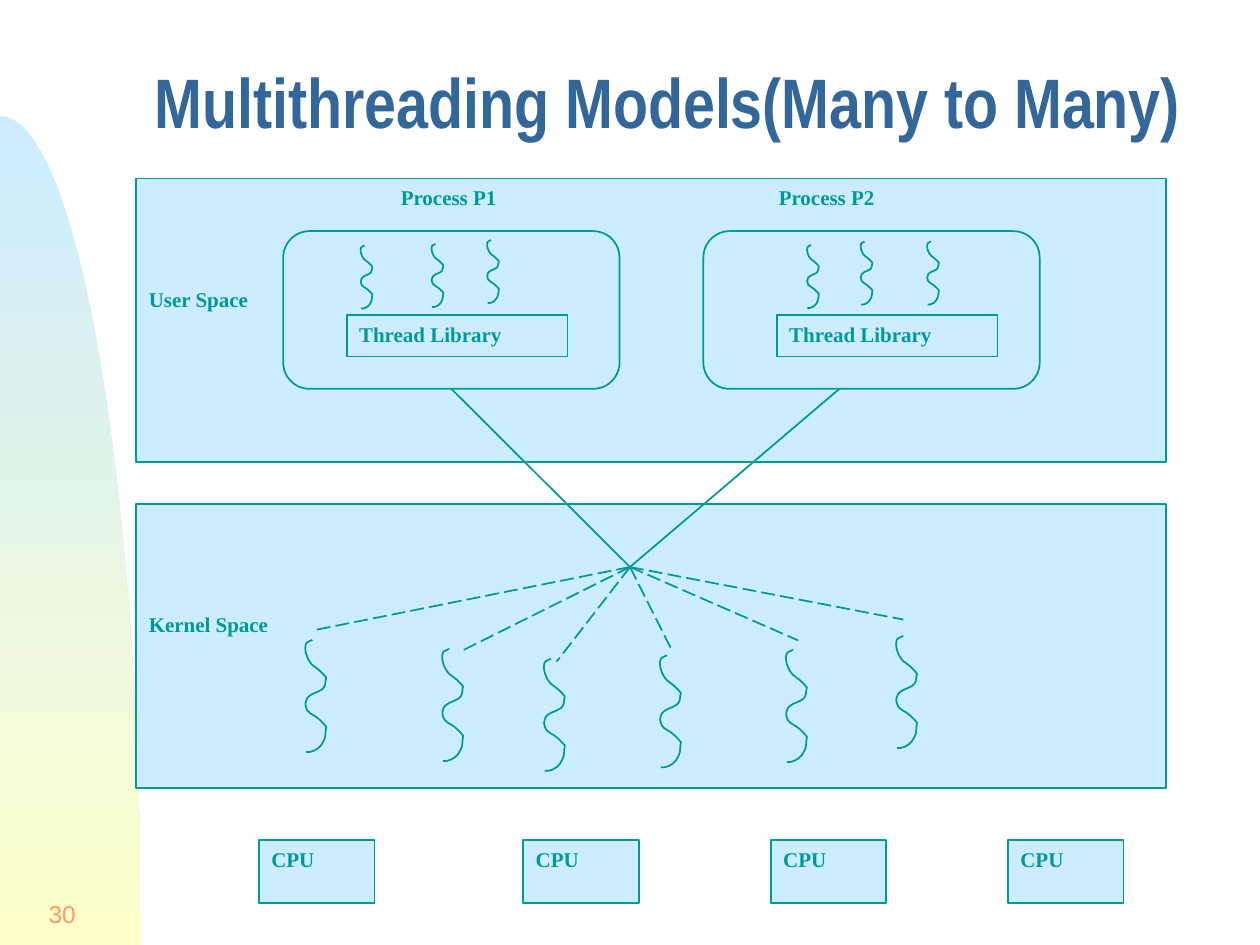
"""Build the slide on the many-to-many multithreading model."""
import itertools

import lxml.etree
import pptx
import pptx.dml.color
import pptx.enum.dml
import pptx.enum.shapes
import pptx.enum.text
import pptx.oxml.ns
import pptx.util

Cm = pptx.util.Cm
Pt = pptx.util.Pt
RGBColor = pptx.dml.color.RGBColor
Shape = pptx.enum.shapes.MSO_SHAPE
Align = pptx.enum.text.PP_ALIGN
Anchor = pptx.enum.text.MSO_ANCHOR
qn = pptx.oxml.ns.qn

TEAL = RGBColor(0x00, 0x99, 0x99)
SKY = RGBColor(0xCC, 0xEC, 0xFF)
CREAM = RGBColor(0xFF, 0xFF, 0xCC)
NAVY = RGBColor(0x33, 0x66, 0x99)
ORANGE = RGBColor(0xFF, 0x99, 0x66)

THREAD_HEIGHT = 89
THREAD_START = (7, 0)
THREAD_CURVES = [
    ((5, 1), (2, 2), (2, 3)),
    ((0, 8), (3, 16), (7, 20)),
    ((8, 21), (10, 22), (11, 23)),
    ((14, 25), (18, 30), (18, 30)),
    ((17, 32), (18, 35), (16, 38)),
    ((15, 40), (9, 42), (7, 43)),
    ((5, 44), (4, 45), (3, 46)),
    ((1, 50), (1, 52), (3, 56)),
    ((5, 59), (9, 60), (11, 62)),
    ((14, 64), (18, 69), (18, 69)),
    ((17, 73), (18, 77), (16, 80)),
    ((14, 85), (10, 88), (5, 89)),
    ((4, 89), (3, 89), (2, 89)),
]


class Diagram:
    """Hold the style and the current slide."""

    def __init__(self, page):
        self.page = page
        self.shapes = page.shapes
        self.font = "Times New Roman"
        self.size = Pt(12)
        self.weight = Pt(1)

    def style_font(self, paragraph, name, size, color, bold):
        """Set the font of a whole paragraph."""
        font = paragraph.font
        font.name, font.size, font.bold = name, size, bold
        font.color.rgb = color

    def title(self, text, left, top, width, height):
        """Fill and place the title placeholder."""
        box = self.shapes.title
        box.left, box.top, box.width, box.height = Cm(left), Cm(top), Cm(width), Cm(height)
        frame = box.text_frame
        frame.text = text
        frame.auto_size = pptx.enum.text.MSO_AUTO_SIZE.NONE
        frame.vertical_anchor = Anchor.BOTTOM
        para = frame.paragraphs[0]
        para.alignment = Align.LEFT
        para.line_spacing = 0.7
        self.style_font(para, "Arial Narrow", Pt(40), NAVY, True)

    def page_number(self, text, left, top, width, height):
        """Add the slide number."""
        box = self.shapes.add_textbox(Cm(left), Cm(top), Cm(width), Cm(height))
        frame = box.text_frame
        frame.word_wrap = True
        frame.vertical_anchor = Anchor.MIDDLE
        frame.text = text
        para = frame.paragraphs[0]
        para.alignment = Align.RIGHT
        self.style_font(para, "Arial", Pt(14), ORANGE, False)

    def outline(self, shape):
        """Give a shape the common fill and line."""
        shape.shadow.inherit = False
        shape.fill.solid()
        shape.fill.fore_color.rgb = SKY
        shape.line.color.rgb = TEAL
        shape.line.width = self.weight

    def box(self, left, top, width, height, lines=(), kind=Shape.RECTANGLE,
            inset=0.13, gap=0):
        """Add a box with top-left text and tab stops every inch."""
        shape = self.shapes.add_shape(kind, Cm(left), Cm(top), Cm(width), Cm(height))
        self.outline(shape)
        frame = shape.text_frame
        frame.vertical_anchor = Anchor.TOP
        frame.margin_top = Cm(inset)
        for number, line in enumerate(lines):
            para = frame.add_paragraph() if number else frame.paragraphs[0]
            para.text = line
            para.alignment = Align.LEFT
            if number:
                para.space_before = Pt(gap)
            if "\t" in line:
                stops = lxml.etree.SubElement(para._p.get_or_add_pPr(), qn("a:tabLst"))
                for stop in range(1, 8):
                    lxml.etree.SubElement(
                        stops, qn("a:tab"), pos=str(Cm(2.54 * stop)), algn="l")
            self.style_font(para, self.font, self.size, TEAL, True)
        return shape

    def line(self, start, end, dashed=False):
        """Add a straight connector."""
        connector = self.shapes.add_connector(
            pptx.enum.shapes.MSO_CONNECTOR.STRAIGHT, *map(Cm, start + end))
        connector.line.color.rgb = TEAL
        connector.line.width = self.weight
        if dashed:
            connector.line.dash_style = pptx.enum.dml.MSO_LINE.LONG_DASH
        lxml.etree.SubElement(connector._element.spPr, qn("a:effectLst"))
        return connector

    def curve(self, start, curves, corners=(), close=False):
        """Add an outline of cubic curves followed by straight corners."""
        points = [start, *itertools.chain.from_iterable(curves), *corners]
        (left, top), *rest = [(Cm(x), Cm(y)) for x, y in points]
        builder = self.shapes.build_freeform(left, top)
        builder.add_line_segments(rest, close=close)
        shape = builder.convert_to_shape()
        segments = list(shape._element.iter(qn("a:lnTo")))
        for first in range(0, 3 * len(curves), 3):
            bend = lxml.etree.Element(qn("a:cubicBezTo"))
            segments[first].addprevious(bend)
            for segment in segments[first:first + 3]:
                bend.append(segment[0])
                segment.getparent().remove(segment)
        return shape

    def thread(self, left, top, height):
        """Add a wavy thread."""
        unit = height / THREAD_HEIGHT

        def place(point):
            return left + point[0] * unit, top + point[1] * unit

        self.outline(self.curve(
            place(THREAD_START), [[place(point) for point in bend] for bend in THREAD_CURVES]))

    def side_curve(self):
        """Add the shaded curve at the left edge."""
        shape = self.curve((0, 2.34), [((1.57, 2.34), (2.84, 9.83), (2.84, 19.05))],
                           [(0, 19.05)], close=True)
        shape.shadow.inherit = False
        shape.line.fill.background()
        shape.fill.gradient()
        shape.fill.gradient_angle = 270
        for stop, color, position in zip(shape.fill.gradient_stops, (SKY, CREAM), (0, 1)):
            stop.color.rgb = color
            stop.position = position


def main():
    """Build and save the deck."""
    deck = pptx.Presentation()
    deck.slide_width, deck.slide_height = Cm(25.4), Cm(19.05)
    diagram = Diagram(deck.slides.add_slide(deck.slide_layouts[5]))
    diagram.side_curve()
    diagram.title("Multithreading Models(Many to Many)", 2.87, 0.9, 21.89, 2.06)
    diagram.page_number("30", 0, 17.78, 1.78, 1.27)

    hub = (12.7, 11.43)
    diagram.box(2.75, 10.16, 20.75, 5.72, ["Kernel Space"], inset=2.16)
    for end in [(6.35, 12.7), (9.31, 13.12), (11.22, 13.34),
                (13.55, 13.12), (16.09, 12.91), (18.21, 12.49)]:
        diagram.line(hub, end, dashed=True)

    diagram.box(2.75, 3.6, 20.75, 5.72,
                ["\t\tProcess P1\t\t\tProcess P2", "User Space"], gap=43.5)
    processes = [diagram.box(left, 4.66, 6.78, 3.18, kind=Shape.ROUNDED_RECTANGLE)
                 for left in (5.71, 14.18)]
    for left in (6.99, 15.66):
        diagram.box(left, 6.35, 4.45, 0.84, ["Thread Library"])

    for left, top in [(6.12, 12.9), (8.88, 13.08), (10.93, 13.28),
                      (13.27, 13.21), (15.81, 13.1), (18.03, 12.82)]:
        diagram.thread(left, top, 2.26)
    for left, top in [(7.25, 4.95), (8.68, 4.92), (9.8, 4.84),
                      (16.25, 4.94), (17.33, 4.87), (18.67, 4.87)]:
        diagram.thread(left, top, 1.27)

    for left in (5.22, 10.55, 15.54, 20.32):
        diagram.box(left, 16.93, 2.33, 1.27, ["CPU"])
    diagram.line(hub, (9.1, 7.84)).end_connect(processes[0], 2)
    diagram.line(hub, (16.93, 7.83))
    deck.save("out.pptx")


if __name__ == "__main__":
    main()
